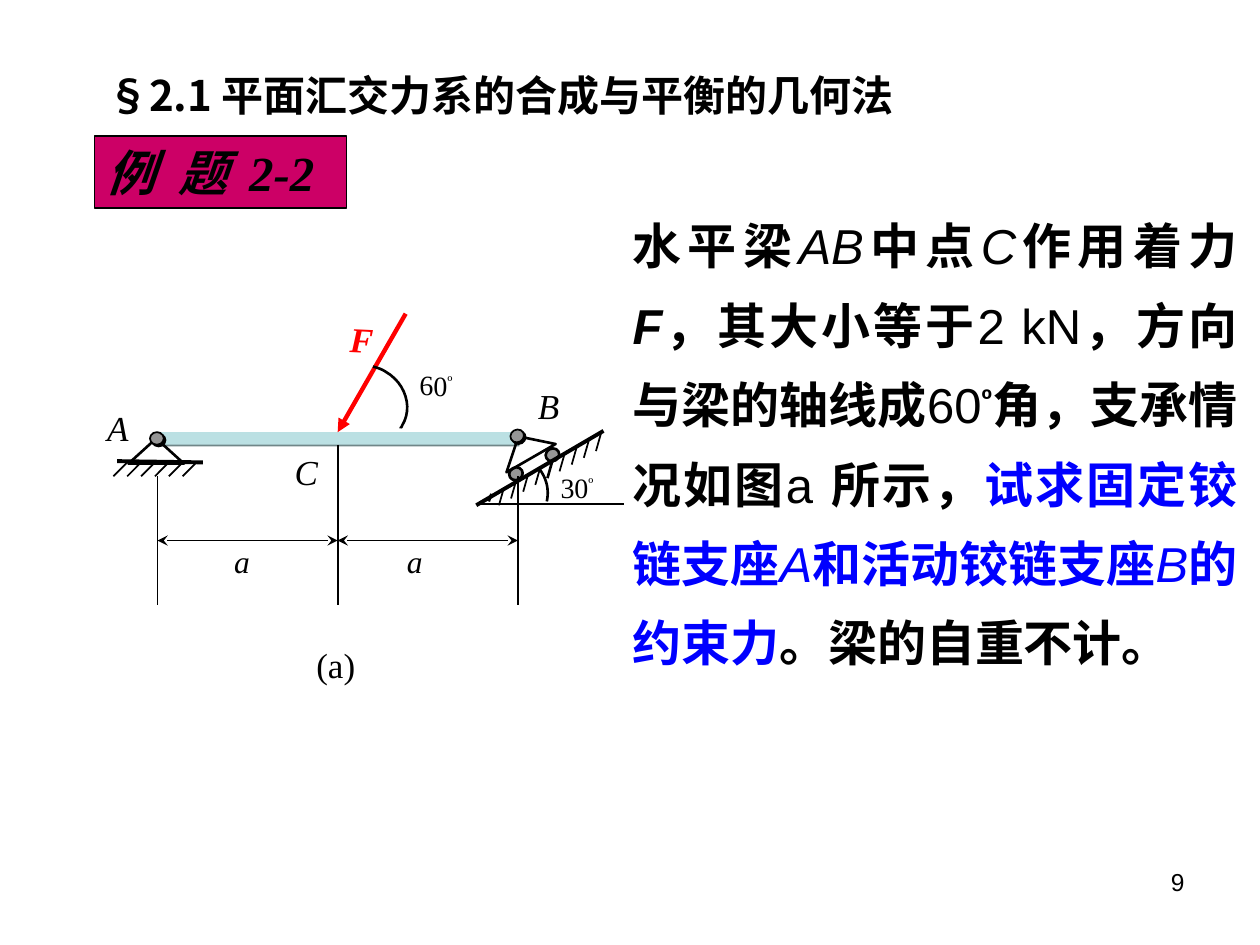
from pptx import Presentation
from pptx.dml.color import RGBColor
from pptx.enum.shapes import MSO_CONNECTOR as Conn, MSO_SHAPE as Shape
from pptx.enum.text import MSO_ANCHOR as Anchor, MSO_AUTO_SIZE as Fit, PP_ALIGN as Align
from pptx.oxml.ns import qn
from pptx.util import Inches, Pt
from lxml.etree import SubElement as Sub

CJK, SANS, SERIF = "Noto Sans CJK SC", "Arial", "Times New Roman"
BLACK, BLUE, RED, GREY = "000000", "0000FF", "FF0000", "969696"
LEFT, MID, RIGHT = 1.25, 2.68, 4.11

TASK = [
    ("水平梁", "b", BLACK), ("AB", "i", BLACK), ("中点", "b", BLACK), ("C", "i", BLACK),
    ("作用着力", "b", BLACK), ("F", "bi", BLACK), ("，其大小等于", "b", BLACK),
    ("2 kN", "", BLACK), ("，方向与梁的轴线成", "b", BLACK), ("60", "", BLACK),
    ("º", "b^", BLACK), ("角，支承情况如图", "b", BLACK), ("a ", "", BLACK),
    ("所示，", "b", BLACK), ("试求固定铰链支座", "b", BLUE), ("A", "i", BLUE),
    ("和活动铰链支座", "b", BLUE), ("B", "i", BLUE), ("的约束力", "b", BLUE),
    ("。梁的自重不计。", "b", BLACK),
]


def rgb(code):
    return RGBColor.from_string(code)


def style(font, name, size, color=BLACK, look=""):
    font.name, font.size = name, Pt(size)
    font.bold, font.italic = "b" in look, "i" in look
    font.color.rgb = rgb(color)


def east(run, name=CJK):
    Sub(run.font._element, qn("a:ea"), typeface=name)


def raise_up(run):
    run.font._element.set("baseline", "30000")


def place(shape, x, y, w, h):
    shape.left, shape.top, shape.width, shape.height = map(Inches, (x, y, w, h))


def title(slide):
    box = slide.shapes.title
    place(box, 0.75, 0.5, 6.58, 0.9)
    frame = box.text_frame
    frame.auto_size, frame.vertical_anchor = Fit.NONE, Anchor.TOP
    para = frame.paragraphs[0]
    run = para.add_run()
    run.text = "§2.1 平面汇交力系的合成与平衡的几何法"
    para.alignment = Align.LEFT
    style(para.font, CJK, 24, look="b")
    east(run)


def task(slide):
    box = slide.placeholders[1]
    place(box, 4.92, 1.5, 5, 4)
    frame = box.text_frame
    frame.auto_size = Fit.NONE
    para = frame.paragraphs[0]
    props = para._p.get_or_add_pPr()
    props.set("marL", "0")
    props.set("indent", "0")
    Sub(props, qn("a:buNone"))
    para.alignment, para.line_spacing = Align.JUSTIFY, 1.35
    para.space_before = Pt(0)
    para.font.size = Pt(28)
    for text, look, color in TASK:
        run = para.add_run()
        run.text = text
        name = CJK if look == "b" else SANS
        style(run.font, name, 28, color, look)
        east(run)
        if "^" in look:
            raise_up(run)


def label(slide, text, x, y, w, h, size=20, name=SERIF, color=BLACK,
          look="", turn=0, align=Align.CENTER, anchor=Anchor.MIDDLE):
    box = slide.shapes.add_textbox(*map(Inches, (x, y, w, h)))
    box.rotation = turn
    frame = box.text_frame
    frame.word_wrap, frame.vertical_anchor = False, anchor
    para = frame.paragraphs[0]
    para.alignment = align
    num, mark, _ = text.partition("º")
    para.add_run().text = num
    if mark:
        run = para.add_run()
        run.text = mark
        raise_up(run)
    style(para.font, name, size, color, look)


def solid(slide, kind, x, y, w, h, fill=None, line=None, turn=0, shade=None):
    shape = slide.shapes.add_shape(kind, *map(Inches, (x, y, w, h)))
    shape.shadow.inherit = False
    shape.rotation = turn
    if fill:
        shape.fill.solid()
        shape.fill.fore_color.rgb = rgb(fill)
    else:
        shape.fill.background()
    if line:
        shape.line.color.rgb = rgb(BLACK)
        shape.line.width = Pt(line)
    else:
        shape.line.fill.background()
    if shade:
        effects = shape._element.spPr.find(qn("a:effectLst"))
        cast = Sub(effects, qn("a:outerShdw"), dist=str(Pt(1.4)), dir="2700000",
                   algn="ctr", rotWithShape="0")
        Sub(cast, qn("a:srgbClr"), val=shade)
    return shape


def line(slide, x1, y1, x2, y2, width=1, color=BLACK, head=None, tail=None):
    link = slide.shapes.add_connector(Conn.STRAIGHT, *map(Inches, (x1, y1, x2, y2)))
    link.line.color.rgb = rgb(color)
    link.line.width = Pt(width)
    for tag, tip in (("a:headEnd", head), ("a:tailEnd", tail)):
        if tip:
            Sub(link.line._get_or_add_ln(), qn(tag), type=tip)
    Sub(link._element.spPr, qn("a:effectLst"))
    return link


def curve(slide, *parts, steps=12):
    dots = []
    for a, b, c, d in parts:
        for n in range(steps + 1):
            t = n / steps
            u = 1 - t
            dots.append(tuple(
                Inches(u**3 * p + 3 * u * u * t * q + 3 * u * t * t * r + t**3 * s)
                for p, q, r, s in zip(a, b, c, d)))
    pen = slide.shapes.build_freeform(*dots[0])
    pen.add_line_segments(dots[1:], close=False)
    arc = pen.convert_to_shape()
    arc.shadow.inherit = False
    arc.fill.background()
    arc.line.color.rgb = rgb(BLACK)
    arc.line.width = Pt(1.5)


def pin(slide):
    solid(slide, Shape.ISOSCELES_TRIANGLE, 1.02, 3.48, 0.44, 0.2, line=1.5)
    solid(slide, Shape.OVAL, 1.19, 3.43, 0.11, 0.1, GREY, 1, shade=BLACK)
    line(slide, 0.93, 3.66, 1.61, 3.67, 2.25)
    for n in range(6):
        x = 1.01 + 0.11 * n
        line(slide, x, 3.67, x - 0.11, 3.78)


def roller(slide):
    for x, y in ((4.04, 3.71), (4.33, 3.56)):
        solid(slide, Shape.OVAL, x, y, 0.11, 0.1, GREY, 1.5, 330)
    solid(slide, Shape.ISOSCELES_TRIANGLE, 3.94, 3.45, 0.45, 0.2, line=1.5, turn=330)
    solid(slide, Shape.OVAL, 4.05, 3.41, 0.11, 0.1, GREY, 1, 330, BLACK)
    line(slide, 3.78, 4.01, 4.79, 3.42, 2.25)
    line(slide, 3.9, 3.92, 3.88, 3.98, 1.5)
    for n in range(9):
        x, y = 4 + 0.77 * n / 8, 3.87 - 0.43 * n / 8
        line(slide, x, y, x - 0.04, y + 0.14, 1.5 if n == 4 else 1)
    line(slide, 3.78, 4, 4.95, 4)
    curve(slide, ((4.28, 3.72), (4.34, 3.8), (4.36, 3.89), (4.34, 3.98)))
    label(slide, "30º", 4.35, 3.68, 0.46, 0.37, 16)


def force(slide, beam):
    link = line(slide, 3.22, 2.49, MID, 3.43, 2.5, RED, tail="triangle")
    link.end_connect(beam, 0)
    curve(slide,
          ((2.96, 2.91), (3, 2.92), (3.03, 2.93), (3.06, 2.95)),
          ((3.06, 2.95), (3.22, 3.04), (3.28, 3.24), (3.19, 3.38)),
          ((3.19, 3.38), (3.19, 3.39), (3.18, 3.39), (3.18, 3.4)))
    label(slide, "60º", 3.13, 2.87, 0.66, 0.37, 16, turn=0.6)
    label(slide, "F", 2.68, 2.47, 0.38, 0.44, color=RED, look="bi", turn=2.6)


def spans(slide, beam):
    for x in (LEFT, RIGHT):
        line(slide, x, 3.78, x, 4.8)
    line(slide, MID, 3.53, MID, 4.8).begin_connect(beam, 2)
    for x, end, mark in ((LEFT, MID, 1.76), (MID, RIGHT, 3.13)):
        line(slide, x, 4.29, end, 4.29, head="stealth", tail="stealth")
        label(slide, "a", mark, 4.25, 0.32, 0.4, 18, look="i")


def banner(slide):
    box = solid(slide, Shape.RECTANGLE, 0.75, 1.08, 2, 0.57, "CC0066", 1)
    frame = box.text_frame
    frame.vertical_anchor = Anchor.TOP
    para = frame.paragraphs[0]
    para.alignment = Align.LEFT
    run = para.add_run()
    run.text = "例  题  2-2"
    style(para.font, SERIF, 28, look="bi")
    east(run)


def main():
    deck = Presentation()
    deck.slide_width, deck.slide_height = Inches(10), Inches(7.5)
    slide = deck.slides.add_slide(deck.slide_layouts[1])
    task(slide)
    beam = solid(slide, Shape.RECTANGLE, LEFT, 3.43, RIGHT - LEFT, 0.1, "BBE0E3", shade="708688")
    pin(slide)
    force(slide, beam)
    roller(slide)
    spans(slide, beam)
    for text, x, y in (("A", 0.75, 3.17), ("B", 4.17, 3), ("C", 2.24, 3.52)):
        label(slide, text, x, y, 0.37, 0.44, look="i")
    label(slide, "(a)", 2.41, 5.05, 0.51, 0.44)
    banner(slide)
    title(slide)
    label(slide, "9", 7.17, 6.83, 2.33, 0.52, 14, SANS, align=Align.RIGHT, anchor=Anchor.TOP)
    deck.save("out.pptx")


if __name__ == "__main__":
    main()
